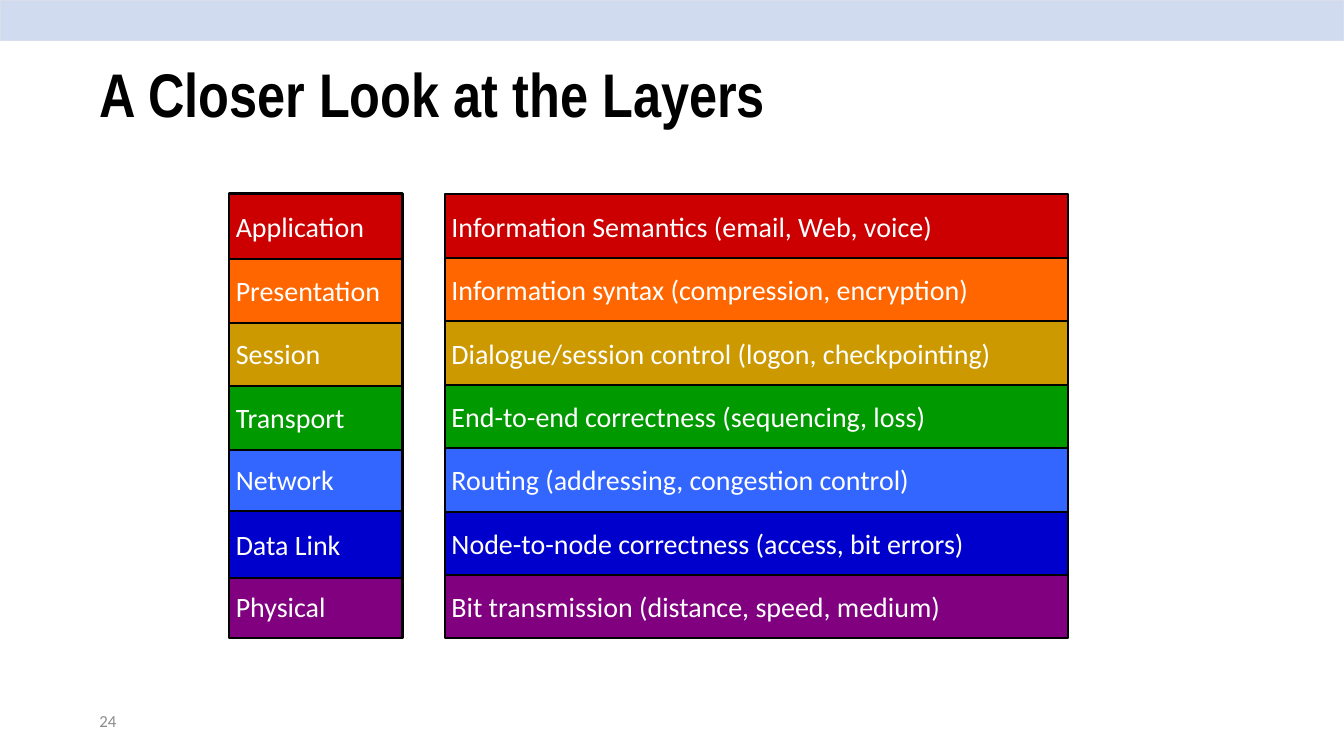
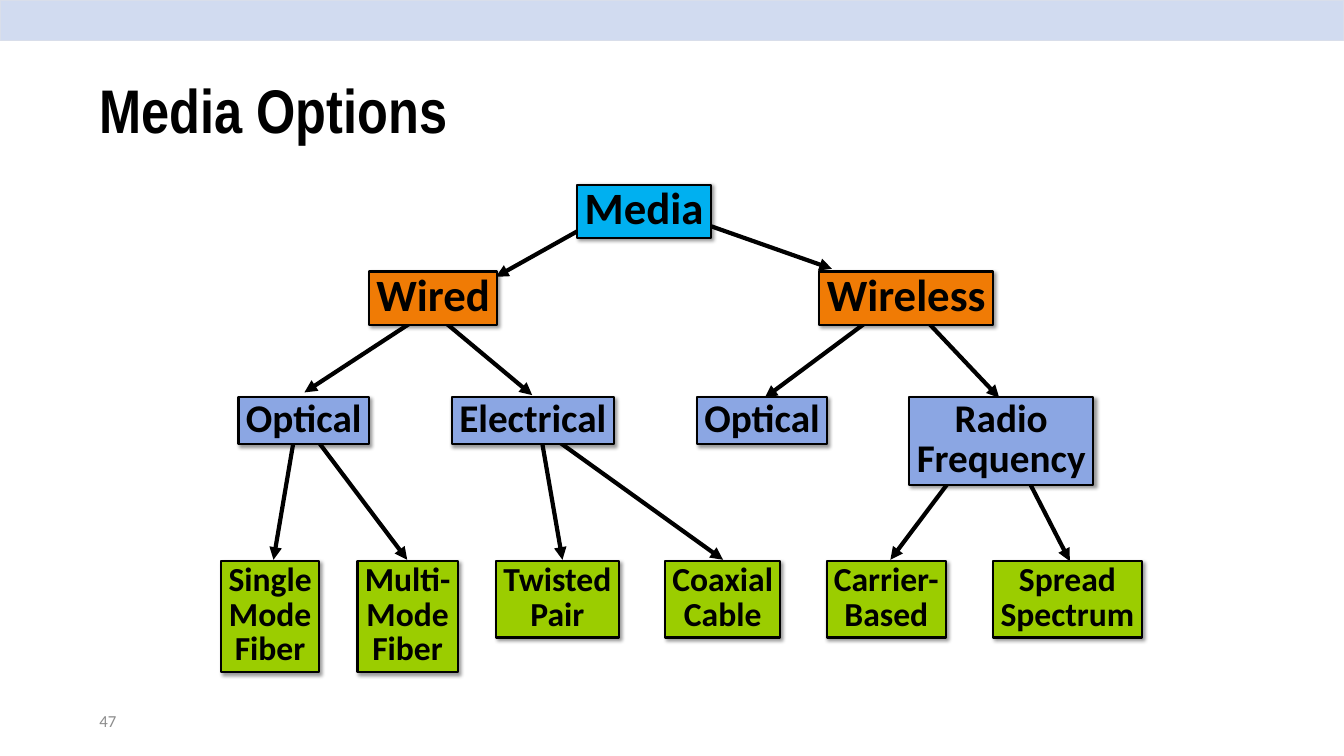
from dataclasses import dataclass

from lxml.etree import SubElement
from pptx import Presentation
from pptx.dml.color import RGBColor
from pptx.enum.shapes import MSO_CONNECTOR, MSO_SHAPE
from pptx.enum.text import MSO_ANCHOR, MSO_AUTO_SIZE, PP_ALIGN
from pptx.oxml.ns import qn
from pptx.util import Inches, Pt

COLORS = {
    "band": "D1DBF0", "band_line": "D9DEEA", "black": "000000", "white": "FFFFFF",
    "number": "8C8C8C", "red": "CC0000", "orange": "FF6600", "gold": "CC9900",
    "green": "009900", "blue": "3366FF", "navy": "0000CC", "purple": "800080",
    "sky": "00B0F0", "amber": "F07B05", "periwinkle": "8BA6E3", "lime": "9BCD00",
}
TITLE_FONT = {"name": "Arial Narrow", "size": Pt(66), "bold": True}
NUMBER_FONT = {"name": "Calibri", "size": Pt(18)}
LAYER_FONT = {"name": "Calibri", "size": Pt(30), "bold": False}
NODE_FONT = {"name": "Calibri", "bold": True}
MIDDLE_FRAME = {"vertical_anchor": MSO_ANCHOR.MIDDLE, "auto_size": MSO_AUTO_SIZE.NONE}
LAYER_FRAME = MIDDLE_FRAME | {"word_wrap": False}
NODE_FRAME = {"vertical_anchor": MSO_ANCHOR.TOP, "word_wrap": False,
              "auto_size": MSO_AUTO_SIZE.SHAPE_TO_FIT_TEXT}
LEFT = {"alignment": PP_ALIGN.LEFT}
TITLE_PARAGRAPH = LEFT | {"line_spacing": 0.9}
NODE_PARAGRAPH = {"alignment": PP_ALIGN.CENTER, "line_spacing": 0.85}
LINE_HEIGHT = 1.22 * 0.85 / 72  # inches per point of type


@dataclass(frozen=True)
class Layer:
    name: str
    duty: str
    color: str
    name_height: float = 0.98


@dataclass(frozen=True)
class Column:
    field: str
    left: float
    width: float
    top: float


@dataclass(frozen=True)
class Tier:
    top: float
    size: int
    color: str


@dataclass(frozen=True)
class Node:
    text: str
    tier: Tier
    left: float
    width: float
    arrow: tuple[float, float, float, float] | None = None


LAYERS = [
    Layer("Application", "Information Semantics (email, Web, voice)", "red"),
    Layer("Presentation", "Information syntax (compression, encryption)", "orange"),
    Layer("Session", "Dialogue/session control (logon, checkpointing)", "gold"),
    Layer("Transport", "End-to-end correctness (sequencing, loss)", "green"),
    Layer("Network", "Routing (addressing, congestion control)", "blue", 0.95),
    Layer("Data Link", "Node-to-node correctness (access, bit errors)", "navy", 1),
    Layer("Physical", "Bit transmission (distance, speed, medium)", "purple", 0.95),
]
COLUMNS = [Column("name", 3.41, 2.58, 2.88), Column("duty", 6.62, 9.27, 2.89)]
LAST_TOP = 8.55
DUTY_HEIGHT = 0.95

ROOT = Tier(2.75, 48, "sky")
KIND = Tier(4.04, 48, "amber")
SIGNAL = Tier(5.91, 42, "periwinkle")
MEDIUM = Tier(8.35, 36, "lime")
NODES = [
    Node("Media", ROOT, 8.59, 1.99),
    Node("Wired", KIND, 5.49, 1.91, (9.38, 3, 7.38, 4.12)),
    Node("Wireless", KIND, 12.19, 2.59, (10.25, 3.25, 12.38, 4)),
    Node("Optical", SIGNAL, 3.55, 1.94, (6.41, 4.61, 4.53, 5.84)),
    Node("Electrical", SIGNAL, 6.72, 2.42, (6.41, 4.62, 7.92, 5.88)),
    Node("Optical", SIGNAL, 10.37, 1.94, (13.45, 4.38, 11.38, 5.92)),
    Node("Radio\nFrequency", SIGNAL, 13.53, 2.74, (13.45, 4.42, 14.87, 5.92)),
    Node("Single\nMode\nFiber", MEDIUM, 3.29, 1.46, (4.38, 6.5, 4.07, 8.33)),
    Node("Multi-\nMode\nFiber", MEDIUM, 5.32, 1.49, (4.59, 6.38, 6.06, 8.33)),
    Node("Twisted\nPair", MEDIUM, 7.38, 1.83, (8.03, 6.37, 8.37, 8.33)),
    Node("Coaxial\nCable", MEDIUM, 9.9, 1.71, (8.03, 6.37, 10.76, 8.33)),
    Node("Carrier-\nBased", MEDIUM, 12.3, 1.78, (14.83, 6.23, 13.25, 8.33)),
    Node("Spread\nSpectrum", MEDIUM, 14.78, 2.21, (14.83, 6.23, 15.92, 8.35)),
]


def rgb(color: str) -> RGBColor:
    return RGBColor.from_string(COLORS[color])


def set_attrs(obj, values: dict) -> None:
    for name, value in values.items():
        setattr(obj, name, value)


def write(sp, text: str, font: dict, color: str, frame: dict, paragraph: dict) -> None:
    tf = sp.text_frame
    set_attrs(tf, frame)
    p = tf.paragraphs[0]
    p.text = text
    set_attrs(p, paragraph)
    for r in p.runs:
        set_attrs(r.font, font)
        r.font.color.rgb = rgb(color)


def add_box(shapes, left: float, top: float, width: float, height: float,
            fill: str, line: str = "black", weight: float = 2.25):
    sp = shapes.add_shape(MSO_SHAPE.RECTANGLE, Inches(left), Inches(top),
                          Inches(width), Inches(height))
    sp.fill.solid()
    sp.fill.fore_color.rgb = rgb(fill)
    sp.line.color.rgb = rgb(line)
    sp.line.width = Pt(weight)
    sp.shadow.inherit = False
    return sp


def add_shadow(sp) -> None:
    effects = sp._element.spPr.find(qn("a:effectLst"))
    shadow = SubElement(effects, qn("a:outerShdw"), blurRad=str(Pt(4)), dist=str(Pt(3)),
                        dir=str(45 * 60000), algn="tl", rotWithShape="0")
    color = SubElement(shadow, qn("a:srgbClr"), val=COLORS["black"])
    SubElement(color, qn("a:alpha"), val="40000")


def add_arrow(s, x1: float, y1: float, x2: float, y2: float) -> None:
    line = s.shapes.add_connector(MSO_CONNECTOR.STRAIGHT, Inches(x1), Inches(y1),
                                  Inches(x2), Inches(y2))
    line.line.color.rgb = rgb("black")
    line.line.width = Pt(4.5)
    SubElement(line.line._get_or_add_ln(), qn("a:tailEnd"), type="triangle")
    SubElement(line._element.spPr, qn("a:effectLst"))


def add_slide(prs, title: str, title_top: float, number: int):
    """Add a slide with the shared band, title and page number."""
    s = prs.slides.add_slide(prs.slide_layouts[5])
    add_box(s.shapes, 0, 0, 20, 0.6, "band", "band_line", 1)
    sp = s.shapes.title
    set_attrs(sp, {"left": Inches(1.38), "top": Inches(title_top),
                   "width": Inches(17.25), "height": Inches(2.17)})
    write(sp, title, TITLE_FONT, "black", MIDDLE_FRAME | {"word_wrap": True},
          TITLE_PARAGRAPH)
    sp = s.shapes.add_textbox(Inches(1.38), Inches(10.43), Inches(4.5), Inches(0.6))
    write(sp, str(number), NUMBER_FONT, "number", MIDDLE_FRAME | {"word_wrap": True}, LEFT)
    return s


def build_layers(prs) -> None:
    s = add_slide(prs, "A Closer Look at the Layers", 0.37, 24)
    for i, layer in reversed(list(enumerate(LAYERS))):
        group = s.shapes.add_group_shape()
        for col in COLUMNS:
            top = col.top + i * (LAST_TOP - col.top) / (len(LAYERS) - 1)
            height = layer.name_height if col.field == "name" else DUTY_HEIGHT
            sp = add_box(group.shapes, col.left, top, col.width, height, layer.color)
            write(sp, getattr(layer, col.field), LAYER_FONT, "white", LAYER_FRAME, LEFT)


def build_media(prs) -> None:
    s = add_slide(prs, "Media Options", 0.6, 47)
    for node in NODES:
        if node.arrow:
            add_arrow(s, *node.arrow)
    for node in NODES:
        tier = node.tier
        lines = node.text.count("\n") + 1
        height = 0.1 + lines * tier.size * LINE_HEIGHT
        sp = add_box(s.shapes, node.left, tier.top, node.width, height, tier.color)
        add_shadow(sp)
        write(sp, node.text, NODE_FONT | {"size": Pt(tier.size)}, "black",
              NODE_FRAME, NODE_PARAGRAPH)


def main() -> None:
    prs = Presentation()
    prs.slide_width, prs.slide_height = Inches(20), Inches(11.25)
    build_layers(prs)
    build_media(prs)
    prs.save("out.pptx")


if __name__ == "__main__":
    main()
